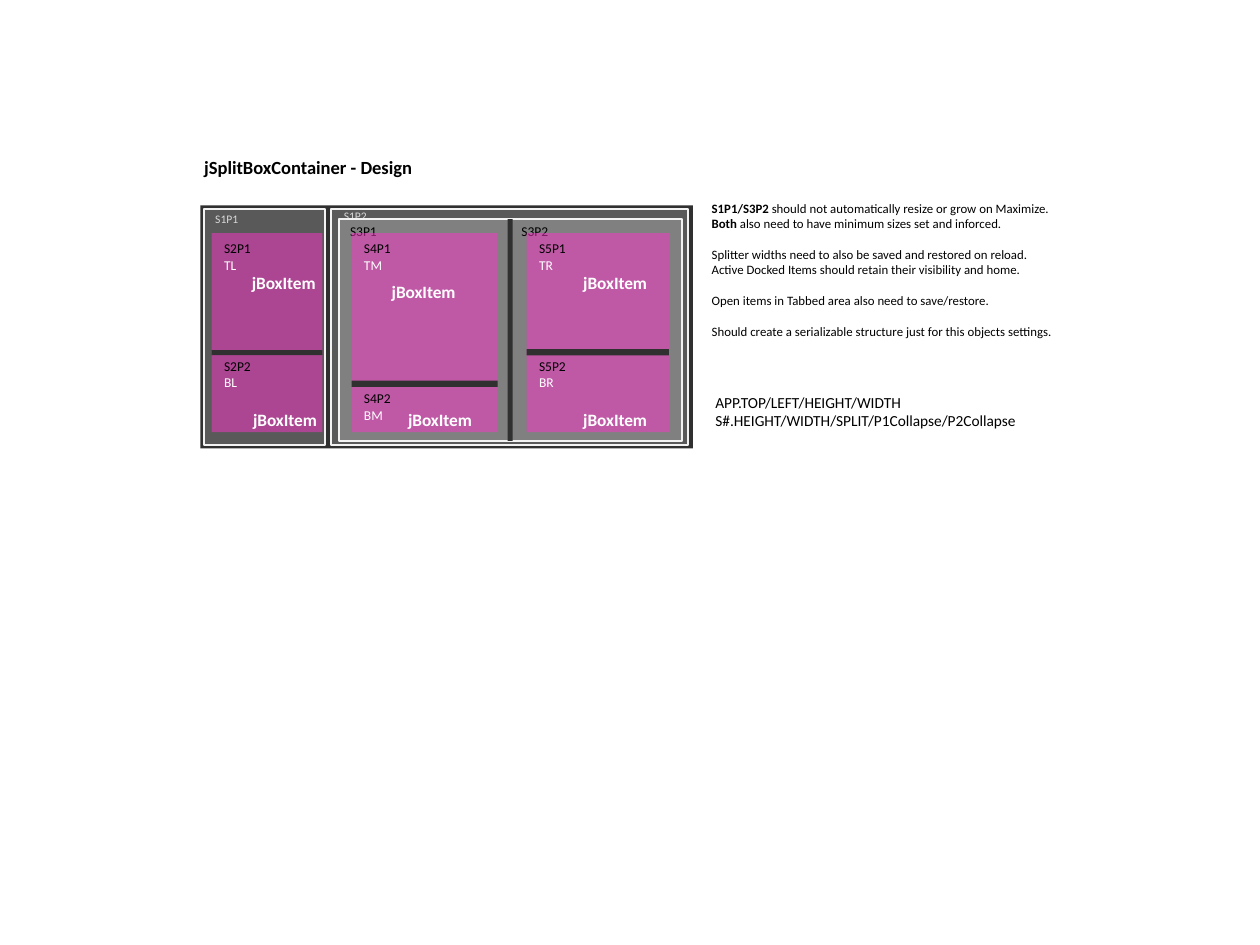
from pptx import Presentation
from pptx.dml.color import RGBColor
from pptx.enum.shapes import MSO_SHAPE
from pptx.enum.text import MSO_ANCHOR, MSO_AUTO_SIZE, PP_ALIGN
from pptx.oxml.ns import qn
from pptx.util import Inches, Pt
from lxml import etree

RECT = MSO_SHAPE.RECTANGLE
TOP, LEFT, FIXED = MSO_ANCHOR.TOP, PP_ALIGN.LEFT, MSO_AUTO_SIZE.NONE
DARK, PANEL, GREY, EDGE = "303030", "595959", "808080", "F2F2F2"
PINK, PALE, BLACK, WHITE = "FF33CC", "D9D9D9", "000000", "FFFFFF"


def color(code):
    return RGBColor.from_string(code)


class Deck:
    face = "Calibri"

    def __init__(self):
        self.prs = Presentation()
        self.prs.slide_width, self.prs.slide_height = Inches(10), Inches(7.5)
        self.slide = self.prs.slides.add_slide(self.prs.slide_layouts[5])

    def rect(self, box, fill, line=None, alpha=None):
        shape = self.slide.shapes.add_shape(RECT, *map(Inches, box))
        shape.shadow.inherit = False
        shape.fill.solid()
        shape.fill.fore_color.rgb = color(fill)
        if alpha:
            tint = shape.element.spPr.find(qn("a:solidFill"))[0]
            etree.SubElement(tint, qn("a:alpha"), val=str(alpha * 1000))
        if line:
            shape.line.color.rgb = color(line)
            shape.line.width = Pt(1)
        else:
            shape.line.fill.background()

    def fill_text(self, shape, lines, size):
        """Each line is a list of (text, colour, bold) runs and a space before."""
        frame = shape.text_frame
        form = {"word_wrap": False, "auto_size": FIXED, "vertical_anchor": TOP}
        for key, value in form.items():
            setattr(frame, key, value)
        for i, (runs, gap) in enumerate(lines):
            para = frame.add_paragraph() if i else frame.paragraphs[0]
            para.alignment = LEFT
            para.space_before = Pt(gap)
            for text, shade, bold in runs:
                run = para.add_run()
                run.text = text
                look = {"name": self.face, "size": Pt(size), "bold": bold}
                for key, value in look.items():
                    setattr(run.font, key, value)
                run.font.color.rgb = color(shade)

    def text(self, box, lines, size):
        self.fill_text(self.slide.shapes.add_textbox(*map(Inches, box)), lines, size)

    def label(self, box, text, size, shade=BLACK, bold=False):
        self.text(box, [([(text, shade, bold)], 0)], size)

    def title(self, box, text, size):
        shape = self.slide.shapes.title
        shape.left, shape.top, shape.width, shape.height = map(Inches, box)
        self.fill_text(shape, [([(text, BLACK, True)], 0)], size)

    def pane(self, x, y, code, spot):
        lines = [([(code, BLACK, False)], 0), ([(spot, WHITE, False)], 0)]
        self.text((x, y, 0.42, 0.36), lines, 7.7)

    def item(self, x, y):
        self.label((x, y, 0.72, 0.27), "jBoxItem", 9.9, WHITE, True)


def main():
    deck = Deck()
    deck.title((1.52, 1.19, 1.87, 0.28), "jSplitBoxContainer - Design", 10.6)

    # Outer frame and its two panels
    deck.rect((1.59, 1.63, 3.91, 1.93), DARK)
    for x, width in ((1.62, 0.96), (2.63, 2.83)):
        deck.rect((x, 1.66, width, 1.87), PANEL, EDGE)
    for x, y, code in ((1.61, 1.63, "S1P1"), (2.63, 1.61, "S1P2")):
        deck.label((x, y, 0.39, 0.21), code, 6.6, PALE)

    # Inner split of the right panel
    deck.rect((2.69, 1.74, 2.72, 1.76), GREY, EDGE)
    for x, code in ((2.68, "S3P1"), (4.04, "S3P2")):
        deck.label((x, 1.72, 0.42, 0.23), code, 7.7)
    deck.rect((4.03, 1.74, 0.04, 1.76), DARK)

    # Columns: left, width, splitter top, splitter height, low label top,
    # split name, column letter, upper item (x, y), lower item x
    columns = (
        (1.68, 0.88, 2.78, 0.04, 2.79, "S2", "L", (1.9, 2.11), 1.91),
        (2.79, 1.16, 3.02, 0.05, 3.05, "S4", "M", (3.01, 2.18), 3.14),
        (4.18, 1.13, 2.77, 0.05, 2.79, "S5", "R", (4.53, 2.11), 4.53),
    )
    for x, width, bar, thick, low, split, side, high, foot in columns:
        deck.rect((x, 1.85, width, 1.58), PINK, alpha=50)
        deck.rect((x, bar, width, thick), DARK)
        deck.pane(x, 1.86, split + "P1", "T" + side)
        deck.pane(x, low, split + "P2", "B" + side)
        deck.item(*high)
        deck.item(foot, 3.2)

    # Notes: bold lead, text, space before
    notes = (
        ("S1P1/S3P2 ", "should not automatically resize or grow on Maximize.", 0),
        ("Both ", "also need to have minimum sizes set and inforced.", 0),
        ("", "Splitter widths need to also be saved and restored on reload.", 8.9),
        ("", "Active Docked Items should retain their visibility and home.", 0),
        ("", "Open items in Tabbed area also need to save/restore.", 8.9),
        ("", "Should create a serializable structure just for this objects settings.", 8.9),
    )
    lines = []
    for lead, rest, gap in notes:
        start = [(lead, BLACK, True)] if lead else []
        lines.append((start + [(rest, BLACK, False)], gap))
    deck.text((5.55, 1.54, 2.94, 1.21), lines, 7.3)

    # Saved keys
    keys = ("APP.TOP/LEFT/HEIGHT/WIDTH", "S#.HEIGHT/WIDTH/SPLIT/P1Collapse/P2Collapse")
    deck.text((5.58, 3.07, 2.63, 0.54), [([(key, BLACK, False)], 0) for key in keys], 8.8)

    deck.prs.save("out.pptx")


if __name__ == "__main__":
    main()
